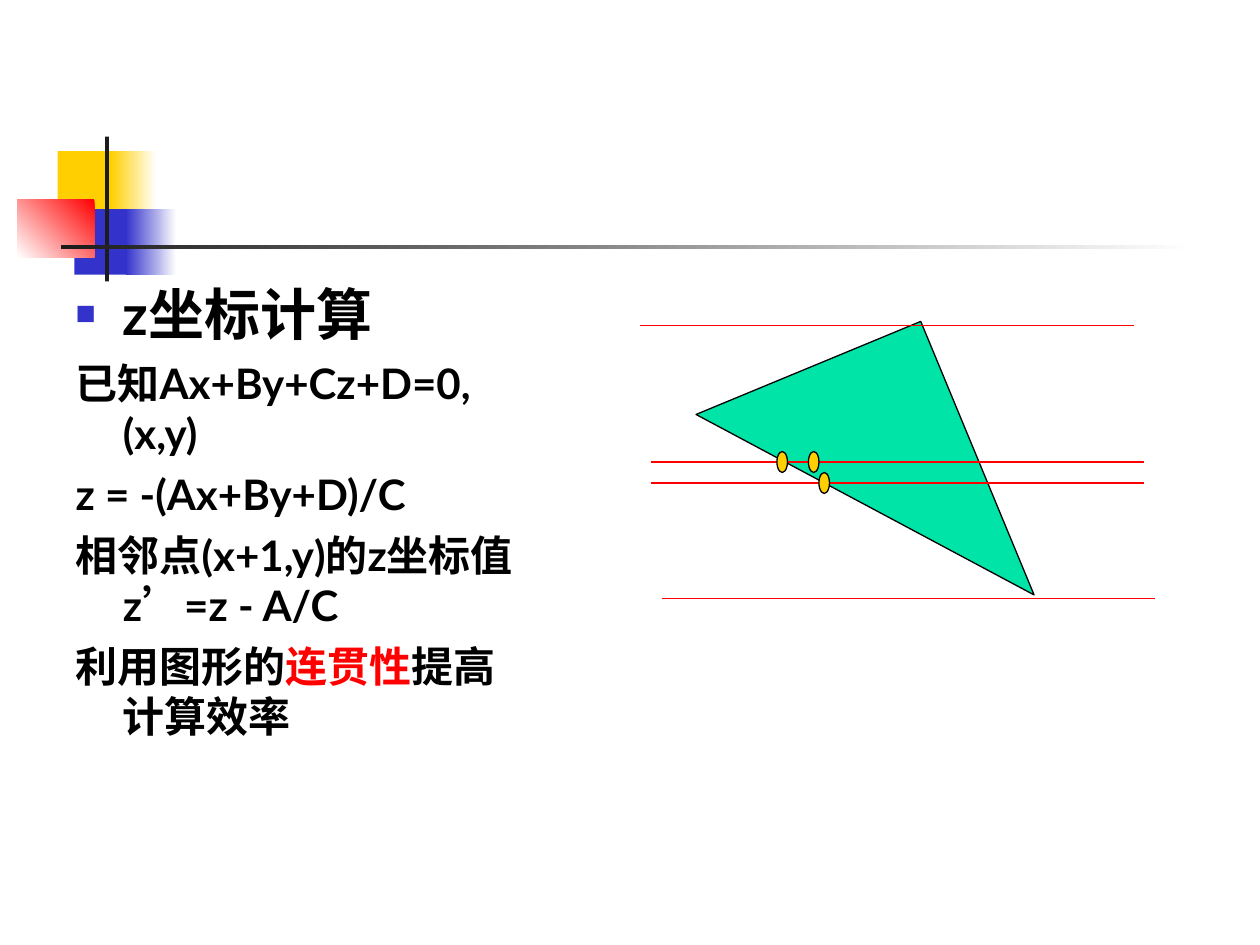
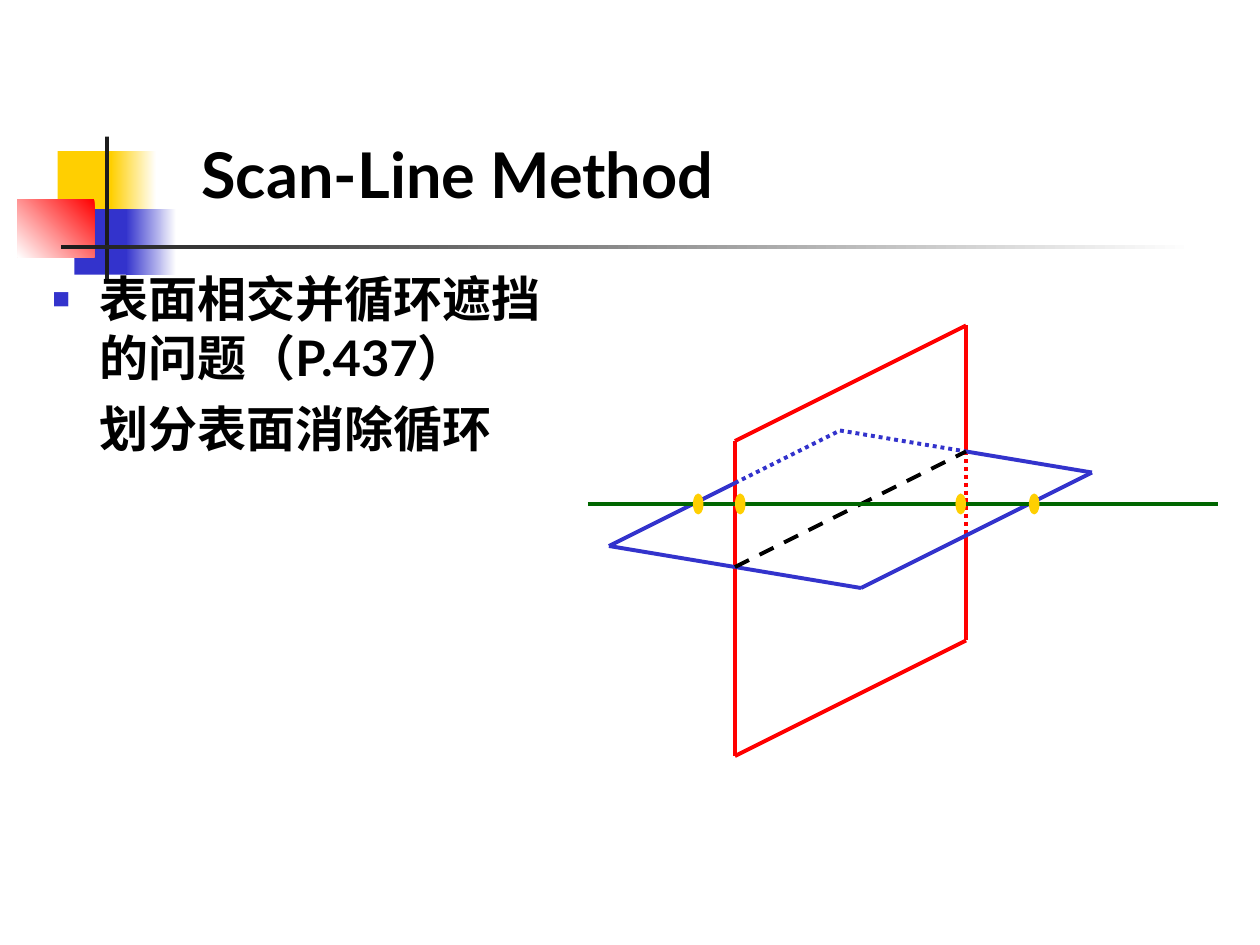
"""Builds two slides on depth and scan lines, with a shared master band."""
import dataclasses
import typing

import lxml.etree
import pptx
import pptx.dml.color
import pptx.enum.dml
import pptx.enum.shapes
import pptx.enum.text
import pptx.oxml.ns
import pptx.util

Pt = pptx.util.Pt
Color = pptx.dml.color.RGBColor
Preset = pptx.enum.shapes.MSO_SHAPE
Dash = pptx.enum.dml.MSO_LINE
qn = pptx.oxml.ns.qn

BLACK = Color(0x00, 0x00, 0x00)
WHITE = Color(0xFF, 0xFF, 0xFF)
RED = Color(0xFF, 0x00, 0x00)
GOLD = Color(0xFF, 0xCF, 0x01)
BLUE = Color(0x33, 0x33, 0xCC)
DARK = Color(0x1C, 0x1C, 0x1C)
MINT = Color(0x00, 0xE4, 0xA8)
GREEN = Color(0x00, 0x66, 0x00)

FONT = "Lato"
GRID = 6
HANG = 27

Point = tuple[int, int]
Box = tuple[float, float, float, float]


@dataclasses.dataclass(frozen=True)
class Block:
    """A master rectangle, plain or fading from ink to fade."""
    box: Box
    ink: Color
    fade: typing.Optional[Color] = None
    angle: float = 0


@dataclasses.dataclass(frozen=True)
class Trace:
    """A chain of straight lines through grid points."""
    points: list[Point]
    ink: Color
    dash: typing.Optional[Dash] = None


@dataclasses.dataclass(frozen=True)
class Item:
    """A body paragraph; runs pair text with an optional colour."""
    runs: list[tuple[str, typing.Optional[Color]]]
    size: float
    gap: float = 0
    mark: bool = False
    indent: float = -HANG


BAND = [
    Block((33, 86.4, 34.6, 37.4), GOLD),
    Block((63.4, 86.4, 25.9, 37.4), GOLD, WHITE),
    Block((42.5, 119.5, 33.1, 37.4), BLUE),
    Block((72, 119.5, 28.8, 37.4), BLUE, WHITE),
    Block((10, 113.8, 44, 33.1), RED, WHITE, 225),
    Block((60, 78, 2.3, 82.8), DARK),
    Block((34.6, 140.2, 648, 2.3), DARK, WHITE),
]

DEPTH = [
    Item([("z坐标计算", None)], 32, mark=True),
    Item([("已知Ax+By+Cz+D=0, (x,y)", None)], 24, 6),
    Item([("z = -(Ax+By+D)/C", None)], 24, 6),
    Item([("相邻点(x+1,y)的z坐标值z’=z - A/C", None)], 24, 6),
    Item([("利用图形的", None), ("连贯性", RED), ("提高计算效率", None)], 24, 6),
]
SCANS = [(61, 31), (62, 44), (63, 57), (62, 46)]
SPAN = 47
PIXELS = [(74, 43), (77, 43), (78, 45)]

CYCLE = [
    Item([("表面相交并循环遮挡的问题（P.437）", None)], 28, mark=True),
    Item([("划分表面消除循环", None)], 28, 7, indent=0),
]
PLANES = [
    Trace([(92, 51), (92, 61), (70, 72), (70, 42), (92, 31), (92, 43)], RED),
    Trace([(92, 43), (92, 51)], RED, Dash.ROUND_DOT),
    Trace([(70, 46), (58, 52), (70, 54), (82, 56), (104, 45), (92, 43)], BLUE),
    Trace([(70, 46), (80, 41), (92, 43)], BLUE, Dash.ROUND_DOT),
    Trace([(70, 54), (92, 43)], BLACK, Dash.DASH),
    Trace([(56, 48), (116, 48)], GREEN),
]
HITS = [(66, 47), (70, 47), (91, 47), (98, 47)]


def place(shape, box: Box) -> None:
    """Move and size a shape."""
    shape.left, shape.top, shape.width, shape.height = map(Pt, box)


def add_form(slide, kind: Preset, box: Box, ink: Color,
             edge: typing.Optional[Color] = None):
    """Add a filled preset shape with an optional thin edge."""
    form = slide.shapes.add_shape(kind, *map(Pt, box))
    form.shadow.inherit = False
    form.fill.solid()
    form.fill.fore_color.rgb = ink
    if edge is None:
        form.line.fill.background()
    else:
        form.line.color.rgb = edge
        form.line.width = Pt(0.75)
    return form


def add_band(deck, slide) -> None:
    """Draw the band and move it behind everything on the master."""
    tree = deck.slide_master.shapes._spTree
    for rank, block in enumerate(BAND):
        form = add_form(slide, Preset.RECTANGLE, block.box, block.ink)
        if block.fade is not None:
            form.fill.gradient()
            form.fill.gradient_angle = block.angle or 180
            ends = (block.ink, block.fade) if block.angle else (block.fade, block.ink)
            for stop, ink in zip(form.fill.gradient_stops, ends):
                stop.color.rgb = ink
        form._element.nvSpPr.cNvPr.set("id", str(100 + rank))
        tree.insert(2 + rank, form._element)


def add_trace(slide, trace: Trace, width: float) -> None:
    """Draw each line of a trace."""
    for start, end in zip(trace.points, trace.points[1:]):
        ends = [Pt(GRID * n) for n in start + end]
        line = slide.shapes.add_connector(
            pptx.enum.shapes.MSO_CONNECTOR.STRAIGHT, *ends)
        line.line.color.rgb = trace.ink
        line.line.width = Pt(width)
        if trace.dash is not None:
            line.line.dash_style = trace.dash
        lxml.etree.SubElement(line._element.spPr, qn("a:effectLst"))


def add_dots(slide, spots: list[Point], edge: typing.Optional[Color] = None) -> None:
    """Draw gold ovals at grid points."""
    for col, row in spots:
        box = (GRID * col, GRID * row, GRID, 2 * GRID)
        add_form(slide, Preset.OVAL, box, GOLD, edge)


def set_mark(para, item: Item) -> None:
    """Set the hanging indent and the bullet of a paragraph."""
    props = para._p.get_or_add_pPr()
    props.set("marL", str(Pt(HANG)))
    props.set("indent", str(Pt(item.indent)))
    if not item.mark:
        lxml.etree.SubElement(props, qn("a:buNone"))
        return
    tint = lxml.etree.SubElement(props, qn("a:buClr"))
    lxml.etree.SubElement(tint, qn("a:srgbClr"), val=str(BLUE))
    lxml.etree.SubElement(props, qn("a:buSzPct"), val="60000")
    lxml.etree.SubElement(props, qn("a:buChar"), char="■")


def set_font(para, size: float) -> None:
    """Give a paragraph the bold black face."""
    font = para.font
    font.name, font.size, font.bold = FONT, Pt(size), True
    font.color.rgb = BLACK


def fill_body(slide, box: Box, items: list[Item], inset: float) -> None:
    """Place the body and write its paragraphs."""
    body = slide.placeholders[1]
    place(body, box)
    frame = body.text_frame
    frame.auto_size = pptx.enum.text.MSO_AUTO_SIZE.NONE
    frame.margin_left = frame.margin_right = Pt(inset)
    for rank, item in enumerate(items):
        para = frame.add_paragraph() if rank else frame.paragraphs[0]
        set_mark(para, item)
        para.space_before = Pt(item.gap)
        set_font(para, item.size)
        for text, ink in item.runs:
            run = para.add_run()
            run.text = text
            if ink is not None:
                run.font.color.rgb = ink


def fill_title(slide, text: str) -> None:
    """Place and write the title."""
    title = slide.shapes.title
    place(title, (108, 36, 498, 90))
    frame = title.text_frame
    frame.auto_size = pptx.enum.text.MSO_AUTO_SIZE.NONE
    frame.vertical_anchor = pptx.enum.text.MSO_ANCHOR.BOTTOM
    frame.margin_bottom = Pt(5.2)
    frame.text = text
    para = frame.paragraphs[0]
    para.alignment = pptx.enum.text.PP_ALIGN.LEFT
    set_font(para, 36)


def draw_depth(slide) -> None:
    """Build the slide on the z value along a scan line."""
    title = slide.shapes.title._element
    title.getparent().remove(title)
    fill_body(slide, (36, 156, 270, 330), DEPTH, 7.2)
    face = add_form(slide, Preset.RIGHT_TRIANGLE, (409.7, 218.9, 169.2, 139),
                    MINT, BLACK)
    face.rotation = 67.5
    face._element.spPr.find(qn("a:xfrm")).set("flipV", "1")
    for col, row in SCANS:
        add_trace(slide, Trace([(col, row), (col + SPAN, row)], RED), 0.75)
    add_dots(slide, PIXELS, BLACK)


def draw_cycle(slide) -> None:
    """Build the slide on planes that cross."""
    fill_title(slide, "Scan-Line Method")
    fill_body(slide, (30, 150, 288, 342), CYCLE, 0)
    for trace in PLANES:
        add_trace(slide, trace, 2.25)
    add_dots(slide, HITS)


def main() -> None:
    """Build and save the deck."""
    deck = pptx.Presentation()
    deck.slide_width, deck.slide_height = Pt(720), Pt(540)
    first, second = (deck.slides.add_slide(deck.slide_layouts[1]) for _ in range(2))
    add_band(deck, first)
    draw_depth(first)
    draw_cycle(second)
    deck.save("out.pptx")


if __name__ == "__main__":
    main()
